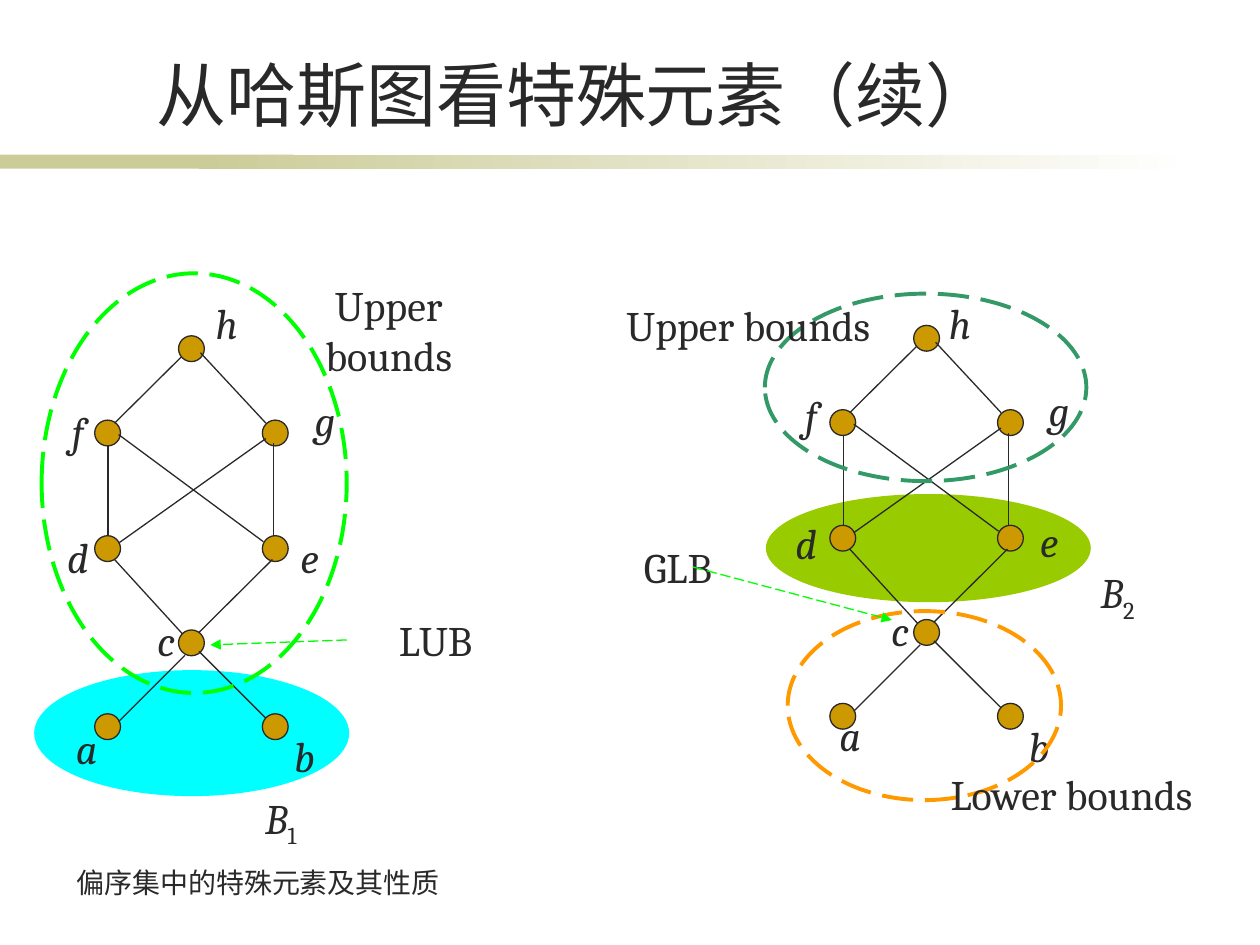
from dataclasses import dataclass

from lxml.etree import SubElement
from pptx import Presentation
from pptx.dml.color import RGBColor
from pptx.enum.dml import MSO_LINE_DASH_STYLE as Dash
from pptx.enum.shapes import MSO_CONNECTOR as Connector, MSO_SHAPE as Shape
from pptx.enum.text import MSO_ANCHOR as Anchor, MSO_AUTO_SIZE as AutoSize, PP_ALIGN as Align
from pptx.oxml.ns import qn
from pptx.util import Cm, Pt


@dataclass(frozen=True)
class Theme:
    ink: str = "292929"
    paper: str = "FFFFFF"
    band: str = "CCCC99"
    node: str = "CC9900"
    lime: str = "00FF00"
    cyan: str = "00FFFF"
    olive: str = "99CC00"
    orange: str = "FF9900"
    green: str = "339966"
    latin: str = "Cambria"
    chinese: str = "Noto Sans CJK SC"
    title_size: int = 40
    label_size: int = 24
    footer_size: int = 16
    thin: float = 0.75
    thick: float = 2.25


THEME = Theme()
NODE_SIZE = 0.52
LABEL_SIZE = (2.12, 1.27)

# Hasse diagram, in cm; the second diagram is the first one shifted
SECOND_SHIFT = (14.82, -0.21)
NODES = {
    "h": (3.6, 6.77),
    "f": (1.91, 8.47), "g": (5.29, 8.47),
    "d": (1.91, 10.8), "e": (5.29, 10.8),
    "c": (3.6, 12.7),
    "a": (1.91, 14.39), "b": (5.29, 14.39),
}
EDGES = [
    (2.31, 8.53, 3.66, 7.19), (4.04, 7.11, 5.36, 8.53),
    (2.18, 10.8, 2.18, 8.97), (5.51, 10.8, 5.51, 8.94),
    (2.31, 11.28, 3.68, 12.78), (4.01, 13.13, 5.36, 14.48),
    (3.73, 13.21, 2.39, 14.55), (4.01, 12.75, 5.49, 11.28),
    (2.39, 10.95, 5.36, 8.84), (2.39, 8.76, 5.31, 10.92),
]
FIRST_LABELS = {
    "a": (0.69, 14.45), "b": (5.08, 14.61), "d": (0.51, 10.59), "c": (2.29, 12.27),
    "e": (5.18, 10.59), "f": (0.51, 8.05), "g": (5.49, 7.82), "h": (3.51, 5.87),
}
SECOND_LABELS = {
    "a": (16.08, 14.17), "b": (19.89, 14.4), "d": (15.19, 10.31), "c": (17.09, 12.07),
    "e": (20.09, 10.26), "f": (15.29, 7.72), "g": (20.29, 7.62), "h": (18.29, 5.87),
}


def color(code):
    return RGBColor.from_string(code)


def cm(values):
    return [Cm(value) for value in values]


def add_figure(shapes, kind, area, fill=None, outline=None, width=THEME.thin, dash=None):
    figure = shapes.add_shape(kind, *cm(area))
    figure.shadow.inherit = False
    if fill:
        figure.fill.solid()
        figure.fill.fore_color.rgb = color(fill)
    else:
        figure.fill.background()
    if outline:
        figure.line.color.rgb = color(outline)
        figure.line.width = Pt(width)
        figure.line.dash_style = dash
    else:
        figure.line.fill.background()
    return figure


def add_line(shapes, ends, ink=THEME.ink, arrow=False):
    line = shapes.add_connector(Connector.STRAIGHT, *cm(ends))
    line.line.color.rgb = color(ink)
    line.line.width = Pt(THEME.thin)
    if arrow:
        line.line.dash_style = Dash.LONG_DASH
        SubElement(line.line._get_or_add_ln(), qn("a:tailEnd"), type="triangle")
    SubElement(line._element.spPr, qn("a:effectLst"))


def format_span(span, size, face=THEME.latin, italic=False):
    span.font.size = Pt(size)
    span.font.name = face
    span.font.italic = italic
    span.font.color.rgb = color(THEME.ink)
    SubElement(span.font._element, qn("a:ea"), typeface=face)


def add_label(shapes, text, area, italic=False, subscript=""):
    box = shapes.add_textbox(*cm(area))
    frame = box.text_frame
    frame.word_wrap = True
    frame.auto_size = AutoSize.SHAPE_TO_FIT_TEXT
    para = frame.paragraphs[0]
    para.text = text
    para.alignment = Align.CENTER
    format_span(para.runs[0], THEME.label_size, italic=italic)
    if subscript:
        span = para.add_run()
        span.text = subscript
        format_span(span, THEME.label_size)
        span.font._element.set("baseline", "-25000")


def format_chinese(box, text, size):
    frame = box.text_frame
    frame.text = text
    frame.word_wrap = True
    frame.auto_size = AutoSize.NONE
    frame.vertical_anchor = Anchor.TOP
    frame.paragraphs[0].alignment = Align.LEFT
    format_span(frame.paragraphs[0].runs[0], size, THEME.chinese)


def add_band(shapes):
    add_figure(shapes, Shape.RECTANGLE, (0, 3.12, 5.92, 0.28), THEME.band)
    fade = add_figure(shapes, Shape.RECTANGLE, (4.01, 3.12, 20.12, 0.28), THEME.band)
    fade.fill.gradient()
    fade.fill.gradient_angle = 0
    for stop, code in zip(fade.fill.gradient_stops, (THEME.band, THEME.paper)):
        stop.color.rgb = color(code)


def add_subset(page, area, fill, number, label_area):
    shapes = page.shapes.add_group_shape().shapes
    add_figure(shapes, Shape.OVAL, area, fill)
    add_label(shapes, "B", label_area, italic=True, subscript=number)


def add_bounds(page, area, outline, text, label_area):
    shapes = page.shapes.add_group_shape().shapes
    add_figure(shapes, Shape.OVAL, area, None, outline, THEME.thick, Dash.LONG_DASH)
    add_label(shapes, text, label_area)


def add_pointer(page, text, label_area, ends):
    shapes = page.shapes.add_group_shape().shapes
    add_label(shapes, text, label_area)
    add_line(shapes, ends, THEME.lime, arrow=True)


def add_hasse(shapes, shift, labels):
    dx, dy = shift
    for x, y in NODES.values():
        area = (x + dx, y + dy, NODE_SIZE, NODE_SIZE)
        add_figure(shapes, Shape.OVAL, area, THEME.node, THEME.ink)
    for name, place in labels.items():
        add_label(shapes, name, place + LABEL_SIZE, italic=True)
    for x1, y1, x2, y2 in EDGES:
        add_line(shapes, (x1 + dx, y1 + dy, x2 + dx, y2 + dy))


def main():
    deck = Presentation()
    deck.slide_width, deck.slide_height = Cm(25.4), Cm(19.05)
    page = deck.slides.add_slide(deck.slide_layouts[5])
    add_band(page.shapes)

    # Title and footer
    title = page.shapes.title
    title.left, title.top, title.width, title.height = cm((2.9, 0.91, 20.8, 1.6))
    format_chinese(title, "从哈斯图看特殊元素（续）", THEME.title_size)
    footer = page.shapes.add_textbox(*cm((1.3, 17.32, 8.41, 1.27)))
    format_chinese(footer, "偏序集中的特殊元素及其性质", THEME.footer_size)

    # Subsets behind the diagrams
    add_subset(page, (15.44, 9.96, 6.55, 2.18), THEME.olive, "2", (21.16, 11.3, 2.74, 1.27))
    add_subset(page, (0.69, 13.51, 6.35, 2.54), THEME.cyan, "1", (4.29, 15.85, 2.74, 1.27))

    # Diagrams
    add_hasse(page.shapes, (0, 0), FIRST_LABELS)
    add_hasse(page.shapes, SECOND_SHIFT, SECOND_LABELS)

    # Bounds and the least and greatest among them
    add_bounds(page, (0.84, 5.51, 6.15, 8.46), THEME.lime, "Upper bounds", (5.51, 5.51, 4.65, 2.31))
    add_pointer(page, "LUB", (7.19, 12.27, 3.18, 1.27), (6.99, 12.9, 4.24, 13))
    add_bounds(page, (15.88, 12.32, 5.51, 3.81), THEME.orange, "Lower bounds", (18.21, 15.37, 6.78, 1.3))
    add_bounds(page, (15.42, 5.92, 6.48, 3.78), THEME.green, "Upper bounds", (12.29, 5.92, 5.59, 2.31))
    add_pointer(page, "GLB", (11.86, 10.8, 3.61, 1.27), (13.97, 11.43, 17.98, 12.5))

    deck.save("out.pptx")


if __name__ == "__main__":
    main()
